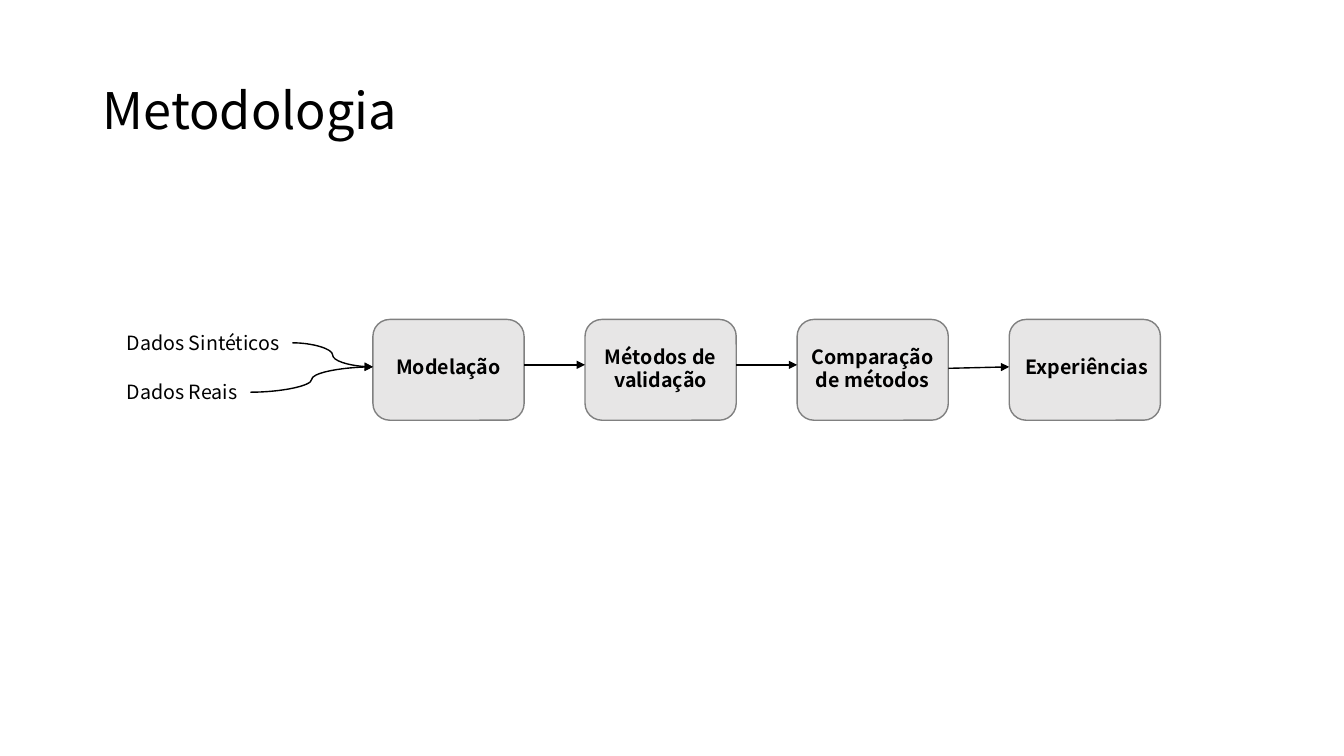
"""Build the methodology slide: two data sources feeding a four-step process."""
from dataclasses import dataclass

import pptx
import pptx.dml.color
import pptx.enum.shapes
import pptx.enum.text
import pptx.oxml
import pptx.oxml.ns
import pptx.util
from lxml import etree

Pt = pptx.util.Pt
Align = pptx.enum.text.PP_ALIGN
Anchor = pptx.enum.text.MSO_ANCHOR
AutoSize = pptx.enum.text.MSO_AUTO_SIZE
Connector = pptx.enum.shapes.MSO_CONNECTOR

TITLE = "Metodologia"
SOURCES = [("Dados Sintéticos", 125.3), ("Dados Reais", 95.3)]
STEPS = [
    {"text": "Modelação", "lines": 1, "width": 108},
    {"text": "Métodos de validação", "lines": 2, "width": 108},
    {"text": "Comparação de métodos", "lines": 2, "width": 108},
    {"text": "Experiências", "lines": 1, "width": 111},
]

SLIDE_SIZE = (960, 540)
TITLE_BOX = (66.24, 28.8, 828, 104.4)
SOURCE_LEFT, SOURCE_TOP, SOURCE_PITCH = 83.5, 232.6, 35.3
STEP_LEFT, STEP_TOP, STEP_PITCH = 266.4, 228.2, 151.5
STEP_WIDTH, STEP_HEIGHT = 108, 72
LABEL_TOPS = {1: 249.8, 2: 242.6}
LABEL_HEIGHTS = {1: 24.5, 2: 41}
ARROW_Y = 260.6
RIGHT, LEFT = 3, 1


@dataclass(frozen=True)
class Theme:
    font: str = "Noto Sans CJK TC"
    ink: str = "000000"
    box_fill: str = "E7E6E6"
    box_line: str = "808080"
    title_size: float = 36
    body_size: float = 14
    line_width: float = 1


THEME = Theme()


def color(value):
    return pptx.dml.color.RGBColor.from_string(value)


def write(shape, text, size=THEME.body_size, bold=False, align=Align.LEFT,
          anchor=Anchor.TOP, wrap=True, auto_size=AutoSize.SHAPE_TO_FIT_TEXT,
          spacing=None):
    frame = shape.text_frame
    frame.word_wrap = wrap
    frame.auto_size = auto_size
    frame.vertical_anchor = anchor
    paragraph = frame.paragraphs[0]
    paragraph.alignment = align
    paragraph.line_spacing = spacing
    run = paragraph.add_run()
    run.text = text
    run.font.name = THEME.font
    run.font.size = Pt(size)
    run.font.bold = bold
    run.font.color.rgb = color(THEME.ink)


def add_label(slide, box, text, **style):
    label = slide.shapes.add_textbox(*map(Pt, box))
    write(label, text, **style)
    return label


def add_step_box(slide, left):
    box = slide.shapes.add_shape(
        pptx.enum.shapes.MSO_SHAPE.ROUNDED_RECTANGLE,
        Pt(left), Pt(STEP_TOP), Pt(STEP_WIDTH), Pt(STEP_HEIGHT))
    box.shadow.inherit = False
    box.fill.solid()
    box.fill.fore_color.rgb = color(THEME.box_fill)
    box.line.color.rgb = color(THEME.box_line)
    box.line.width = Pt(THEME.line_width)


def add_arrow(slide, kind, start=(0, 0), end=(0, 0), source=None, target=None):
    arrow = slide.shapes.add_connector(kind, *map(Pt, (*start, *end)))
    if source is not None:
        arrow.begin_connect(source, RIGHT)
        arrow.end_connect(target, LEFT)
    arrow.line.color.rgb = color(THEME.ink)
    arrow.line.width = Pt(THEME.line_width)
    line = arrow.line._get_or_add_ln()
    etree.SubElement(line, pptx.oxml.ns.qn("a:tailEnd"), type="triangle")
    etree.SubElement(arrow._element.spPr, pptx.oxml.ns.qn("a:effectLst"))


def main():
    presentation = pptx.Presentation()
    presentation.slide_width, presentation.slide_height = map(Pt, SLIDE_SIZE)
    slide = presentation.slides.add_slide(presentation.slide_layouts[5])

    title = slide.shapes.title
    title.left, title.top, title.width, title.height = map(Pt, TITLE_BOX)
    write(title, TITLE, size=THEME.title_size, anchor=Anchor.MIDDLE,
          auto_size=AutoSize.NONE, spacing=0.9)

    lefts = [STEP_LEFT + index * STEP_PITCH for index in range(len(STEPS))]
    for left in lefts:
        add_step_box(slide, left)

    sources = [
        add_label(slide, (SOURCE_LEFT, SOURCE_TOP + index * SOURCE_PITCH,
                          width, LABEL_HEIGHTS[1]), text, wrap=False)
        for index, (text, width) in enumerate(SOURCES)]
    labels = [
        add_label(slide, (left, LABEL_TOPS[step["lines"]], step["width"],
                          LABEL_HEIGHTS[step["lines"]]),
                  step["text"], bold=True, align=Align.CENTER)
        for left, step in zip(lefts, STEPS)]

    for source in sources:
        add_arrow(slide, Connector.CURVE, source=source, target=labels[0])
    for left, following in zip(lefts[:2], lefts[1:]):
        add_arrow(slide, Connector.STRAIGHT, start=(left + STEP_WIDTH, ARROW_Y),
                  end=(following, ARROW_Y))
    add_arrow(slide, Connector.STRAIGHT, source=labels[2], target=labels[3])

    presentation.save("out.pptx")


if __name__ == "__main__":
    main()
